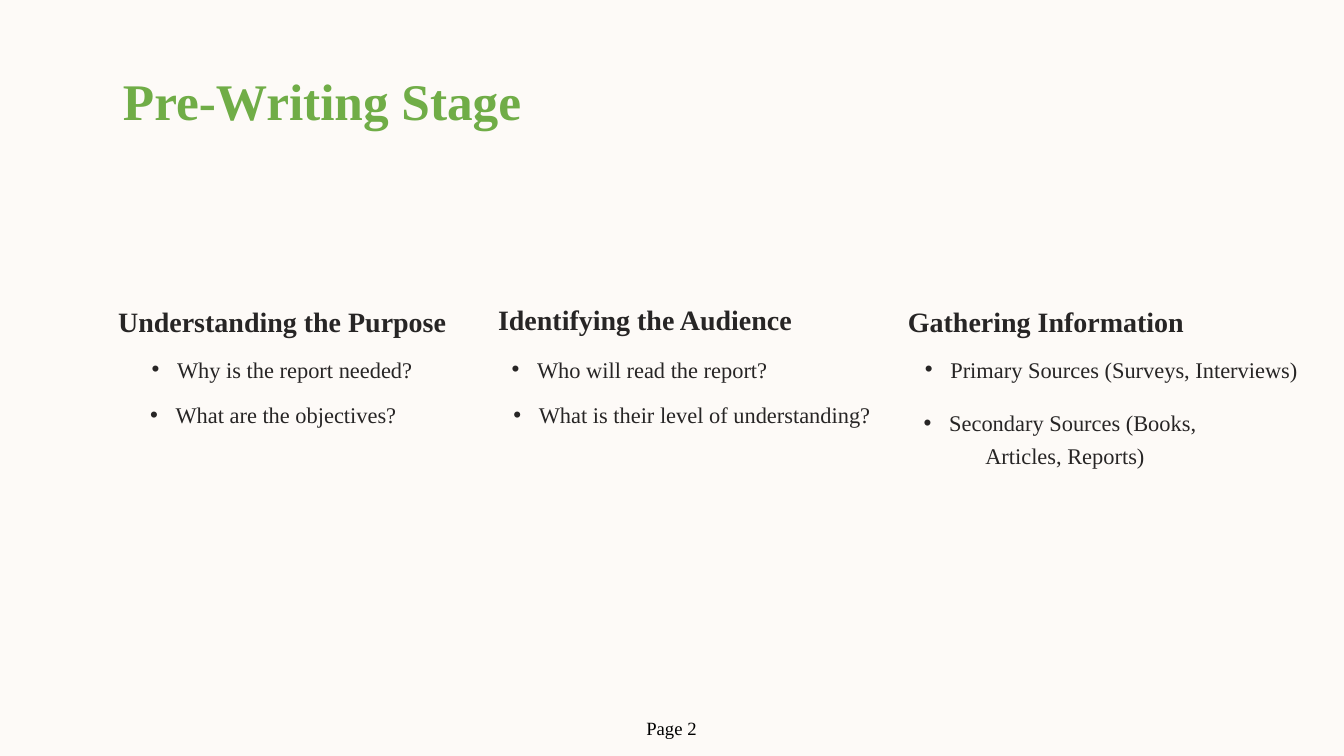
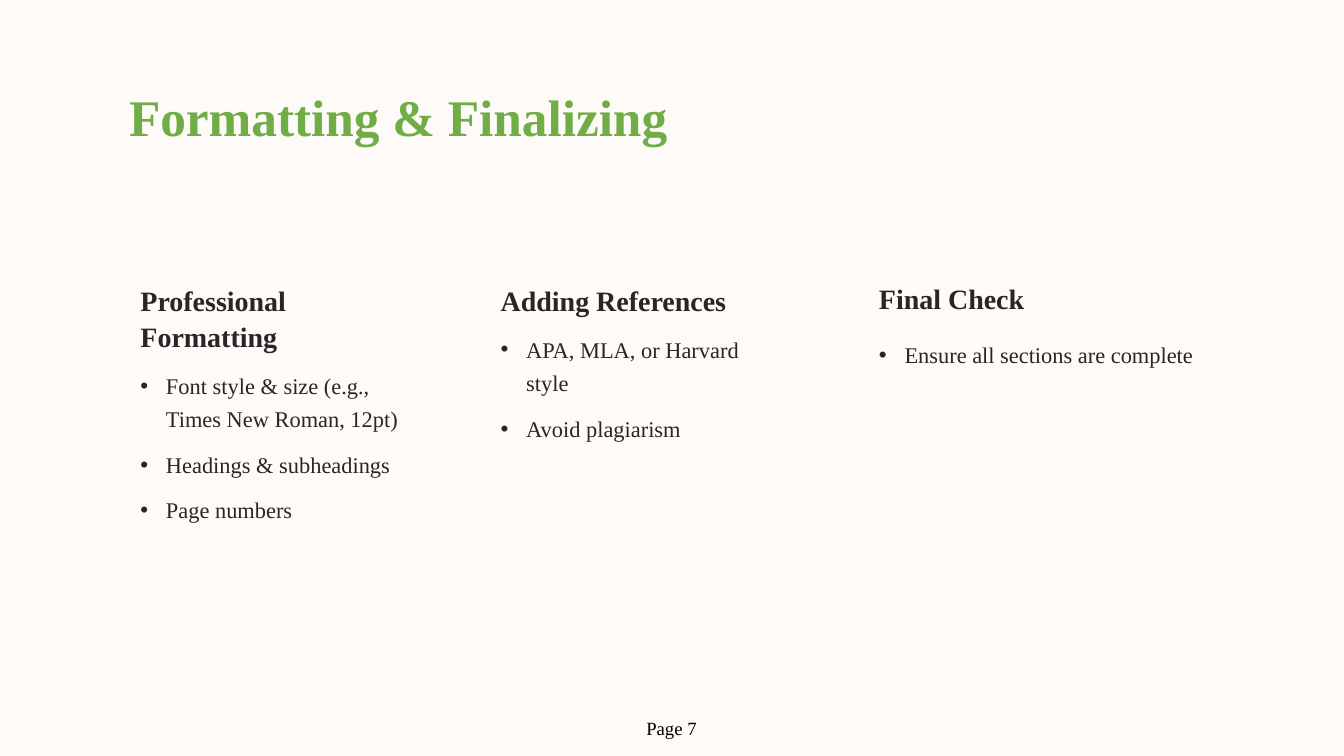
import copy
from dataclasses import dataclass

import pptx
import pptx.dml.color
import pptx.enum.text
import pptx.oxml
import pptx.oxml.ns
import pptx.util
from pptx.util import Inches

COLORS = {
    "backdrop": "FAF2E9",
    "paper": "FDFAF7",
    "title": "70AD47",
    "body": "272525",
    "page": "000000",
}
FONT = "Times New Roman"
SLIDE_WIDTH, SLIDE_HEIGHT = Inches(20), Inches(11.25)
LISTS_PER_SLIDE = 6
BULLET_INDENT = Inches(0.38)
ALIGN = pptx.enum.text.PP_ALIGN
AUTO_SIZE = pptx.enum.text.MSO_AUTO_SIZE


@dataclass(frozen=True)
class Style:
    size: float
    color: str
    bold: bool = False
    line_spacing: float | None = None


TITLE = Style(55, "title", True, 76.2)
HEADING = Style(30, "body", True, 38.1)
BULLET = Style(24, "body", False, 35.6)
PAGE = Style(20, "page")


@dataclass(frozen=True)
class Box:
    left: float
    top: float
    width: float
    height: float
    lines: tuple[str, ...]


@dataclass(frozen=True)
class Topic:
    heading: Box
    bullets: tuple[Box, ...]


@dataclass(frozen=True)
class Page:
    number: int
    title: Box
    alignment: ALIGN
    topics: tuple[Topic, ...]


def centred_bullet(left: float, top: float, *lines: str) -> Box:
    return Box(left, top, 5.63, 0.08 + 0.5 * len(lines), lines)


PAGES = (
    Page(2, Box(1.83, 0.89, 8.53, 1.24, ("Pre-Writing Stage",)), ALIGN.CENTER, (
        Topic(Box(1.51, 4.5, 5.38, 0.6, ("Understanding the Purpose",)), (
            centred_bullet(1.38, 5.2, "Why is the report needed?"),
            centred_bullet(1.25, 5.88, "What are the objectives?"))),
        Topic(Box(7.17, 4.47, 4.86, 0.6, ("Identifying the Audience",)), (
            centred_bullet(6.7, 5.2, "Who will read the report?"),
            centred_bullet(7.48, 5.88, "What is their level of understanding?"))),
        Topic(Box(13.33, 4.5, 4.47, 0.6, ("Gathering Information",)), (
            centred_bullet(13.72, 5.2, "Primary Sources (Surveys, Interviews)"),
            centred_bullet(13, 5.99, "Secondary Sources (Books, ", " Articles, Reports)"))),
    )),
    Page(7, Box(1.92, 1.12, 9.36, 1.24, ("Formatting & Finalizing",)), ALIGN.LEFT, (
        Topic(Box(2.09, 4.19, 3.96, 1.14, ("Professional Formatting",)), (
            Box(2.09, 5.44, 3.96, 1.08, ("Font style & size (e.g., Times New Roman, 12pt)",)),
            Box(2.09, 6.62, 3.96, 0.58, ("Headings & subheadings",)),
            Box(2.09, 7.29, 3.96, 0.58, ("Page numbers",)))),
        Topic(Box(7.45, 4.19, 3.96, 0.6, ("Adding References",)), (
            Box(7.45, 4.9, 3.96, 1.08, ("APA, MLA, or Harvard style",)),
            Box(7.45, 6.08, 3.96, 0.58, ("Avoid plagiarism",)))),
        Topic(Box(13.08, 4.16, 4.26, 0.6, ("Final Check",)), (
            Box(13.08, 4.98, 5.25, 0.71, ("Ensure all sections are complete",)),)),
    )),
)


def color(name: str):
    return pptx.dml.color.RGBColor.from_string(COLORS[name])


def prepare_layout(presentation):
    layout = presentation.slide_layouts.get_by_name("Title and Content")
    body = layout.placeholders[1].element
    for index in reversed(range(20, 19 + LISTS_PER_SLIDE)):
        extra = copy.deepcopy(body)
        extra.xpath(".//p:cNvPr")[0].set("id", str(index))
        extra.xpath(".//p:ph")[0].set("idx", str(index))
        body.addnext(extra)
    return layout


def add_backdrop(slide) -> None:
    title = slide.shapes.title
    for name in ("backdrop", "paper"):
        builder = slide.shapes.build_freeform(0, 0)
        builder.add_line_segments(
            [(SLIDE_WIDTH, 0), (SLIDE_WIDTH, SLIDE_HEIGHT), (0, SLIDE_HEIGHT)], close=True)
        shape = builder.convert_to_shape()
        shape.shadow.inherit = False
        shape.fill.solid()
        shape.fill.fore_color.rgb = color(name)
        shape.line.fill.background()
        title.element.addprevious(shape.element)


def set_bullet(paragraph, bulleted: bool) -> None:
    properties = paragraph._p.get_or_add_pPr()
    indent = BULLET_INDENT if bulleted else 0
    properties.set("marL", str(indent))
    properties.set("indent", str(-indent))
    tag = '<a:buChar {} char="•"/>' if bulleted else "<a:buNone {}/>"
    properties.append(pptx.oxml.parse_xml(tag.format(pptx.oxml.ns.nsdecls("a"))))


def set_margins(frame, horizontal: float, vertical: float) -> None:
    frame.margin_left = frame.margin_right = Inches(horizontal)
    frame.margin_top = frame.margin_bottom = Inches(vertical)


def write(shape, box: Box, style: Style, alignment: ALIGN, bulleted: bool = False) -> None:
    shape.left, shape.top = Inches(box.left), Inches(box.top)
    shape.width, shape.height = Inches(box.width), Inches(box.height)
    frame = shape.text_frame
    frame.word_wrap = True
    frame.auto_size = AUTO_SIZE.NONE
    frame.vertical_anchor = pptx.enum.text.MSO_ANCHOR.TOP
    set_margins(frame, 0, 0)
    for index, line in enumerate(box.lines):
        paragraph = frame.add_paragraph() if index else frame.paragraphs[0]
        set_bullet(paragraph, bulleted and index == 0)
        paragraph.alignment = alignment
        paragraph.space_before = pptx.util.Pt(0)
        if style.line_spacing:
            paragraph.line_spacing = pptx.util.Pt(style.line_spacing)
        run = paragraph.add_run()
        run.text = line
        run.font.name = FONT
        run.font.size = pptx.util.Pt(style.size)
        run.font.bold = style.bold
        run.font.color.rgb = color(style.color)


def add_text(slide, box: Box, style: Style, alignment: ALIGN):
    shape = slide.shapes.add_textbox(0, 0, 0, 0)
    write(shape, box, style, alignment)
    return shape


def add_page_label(slide, number: int) -> None:
    label = add_text(slide, Box(9.52, 10.62, 0.96, 0.44, (f"Page {number}",)), PAGE, ALIGN.LEFT)
    set_margins(label.text_frame, 0.1, 0.05)
    label.text_frame.word_wrap = False
    label.text_frame.auto_size = AUTO_SIZE.SHAPE_TO_FIT_TEXT


def add_page(presentation, layout, page: Page) -> None:
    slide = presentation.slides.add_slide(layout)
    title, *lists = slide.placeholders
    add_backdrop(slide)
    write(title, page.title, TITLE, ALIGN.LEFT)
    placeholders = iter(lists)
    for topic in page.topics:
        add_text(slide, topic.heading, HEADING, page.alignment)
        for bullet in topic.bullets:
            write(next(placeholders), bullet, BULLET, page.alignment, bulleted=True)
    add_page_label(slide, page.number)


def main() -> None:
    presentation = pptx.Presentation()
    presentation.slide_width, presentation.slide_height = SLIDE_WIDTH, SLIDE_HEIGHT
    layout = prepare_layout(presentation)
    for page in PAGES:
        add_page(presentation, layout, page)
    presentation.save("out.pptx")


if __name__ == "__main__":
    main()
